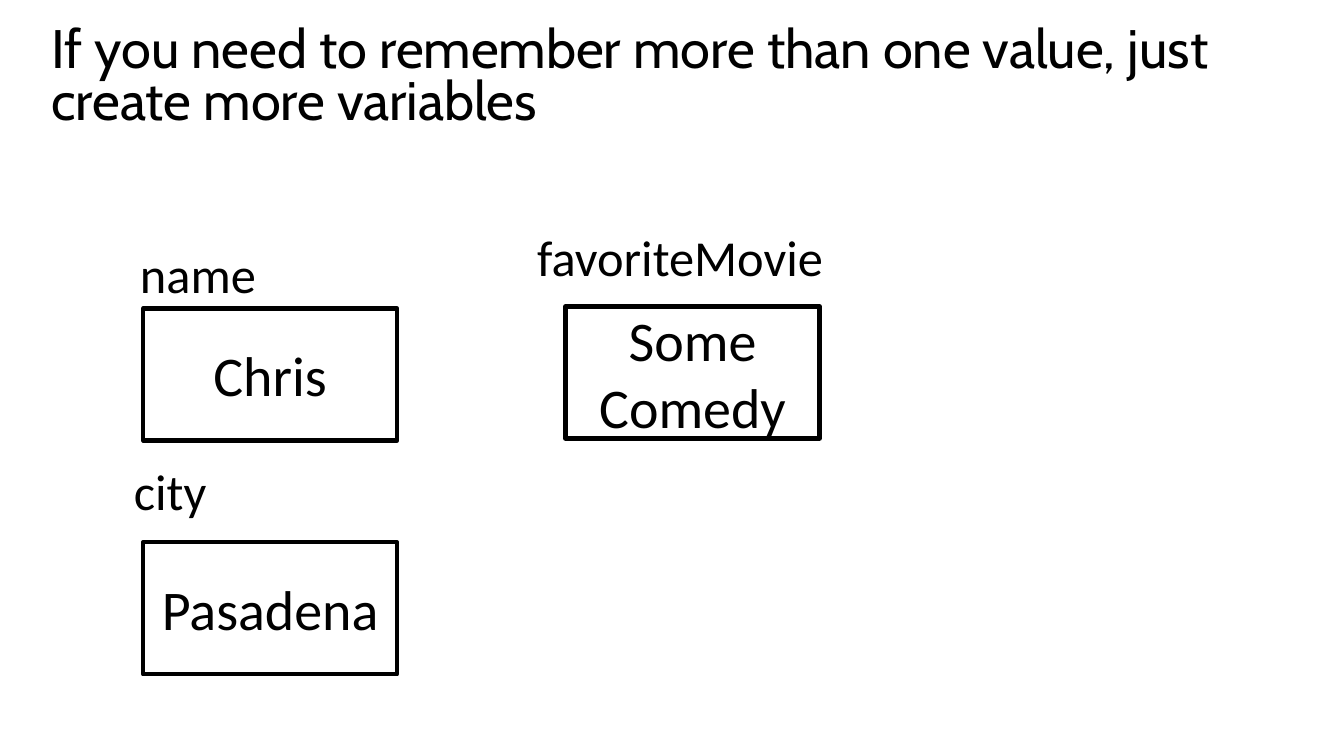
from dataclasses import dataclass

from pptx import Presentation
from pptx.dml.color import RGBColor
from pptx.enum import shapes, text
from pptx.text.text import TextFrame
from pptx.util import Pt


@dataclass(frozen=True)
class Theme:
    ink: RGBColor = RGBColor(0, 0, 0)
    title_font: str = "Cabin"
    body_font: str = "Calibri"
    title_size: float = 38.7
    value_size: float = 40
    label_size: float = 36
    outline: float = 3


@dataclass(frozen=True)
class Variable:
    """A labelled box; positions are in points."""
    name: str
    value: str
    box_left: float
    box_top: float
    label_left: float
    label_top: float
    label_width: float


THEME = Theme()
BOX_WIDTH, BOX_HEIGHT, LABEL_HEIGHT = 181.5, 94.3, 50.4
VARIABLES = [
    Variable("name", "Chris", 102.2, 220.3, 92.9, 169.9, 115.9),
    Variable("city", "Pasadena", 102.2, 387.4, 88.6, 325.4, 79.2),
    Variable("favoriteMovie", "Some Comedy", 403.9, 218.9, 376.6, 157.7, 259.9),
]


def write(frame: TextFrame, words: str, *, size: float,
          font: str = THEME.body_font, align=text.PP_ALIGN.LEFT,
          anchor=text.MSO_ANCHOR.TOP, wrap: bool = True,
          autosize=text.MSO_AUTO_SIZE.NONE, spacing: float = 1.0) -> None:
    frame.word_wrap = wrap
    frame.auto_size = autosize
    frame.vertical_anchor = anchor
    paragraph = frame.paragraphs[0]
    paragraph.alignment = align
    paragraph.line_spacing = spacing
    run = paragraph.add_run()
    run.text = words
    run.font.name = font
    run.font.size = Pt(size)
    run.font.color.rgb = THEME.ink


def draw_variable(slide, variable: Variable) -> None:
    box = slide.shapes.add_shape(
        shapes.MSO_SHAPE.RECTANGLE, Pt(variable.box_left), Pt(variable.box_top),
        Pt(BOX_WIDTH), Pt(BOX_HEIGHT))
    box.shadow.inherit = False
    box.fill.background()
    box.line.color.rgb = THEME.ink
    box.line.width = Pt(THEME.outline)
    write(box.text_frame, variable.value, size=THEME.value_size,
          align=text.PP_ALIGN.CENTER, anchor=text.MSO_ANCHOR.MIDDLE)

    label = slide.shapes.add_textbox(
        Pt(variable.label_left), Pt(variable.label_top),
        Pt(variable.label_width), Pt(LABEL_HEIGHT))
    write(label.text_frame, variable.name, size=THEME.label_size, wrap=False,
          autosize=text.MSO_AUTO_SIZE.SHAPE_TO_FIT_TEXT)


def main() -> None:
    deck = Presentation()
    deck.slide_width, deck.slide_height = Pt(960), Pt(540)
    slide = deck.slides.add_slide(deck.slide_layouts.get_by_name("Title Only"))

    heading = slide.shapes.title
    heading.left, heading.top = Pt(29.5), Pt(14.4)
    heading.width, heading.height = Pt(907.2), Pt(83.5)
    write(heading.text_frame,
          "If you need to remember more than one value, just create more variables",
          size=THEME.title_size, font=THEME.title_font,
          anchor=text.MSO_ANCHOR.MIDDLE, spacing=0.8)

    for variable in VARIABLES:
        draw_variable(slide, variable)
    deck.save("out.pptx")


if __name__ == "__main__":
    main()
